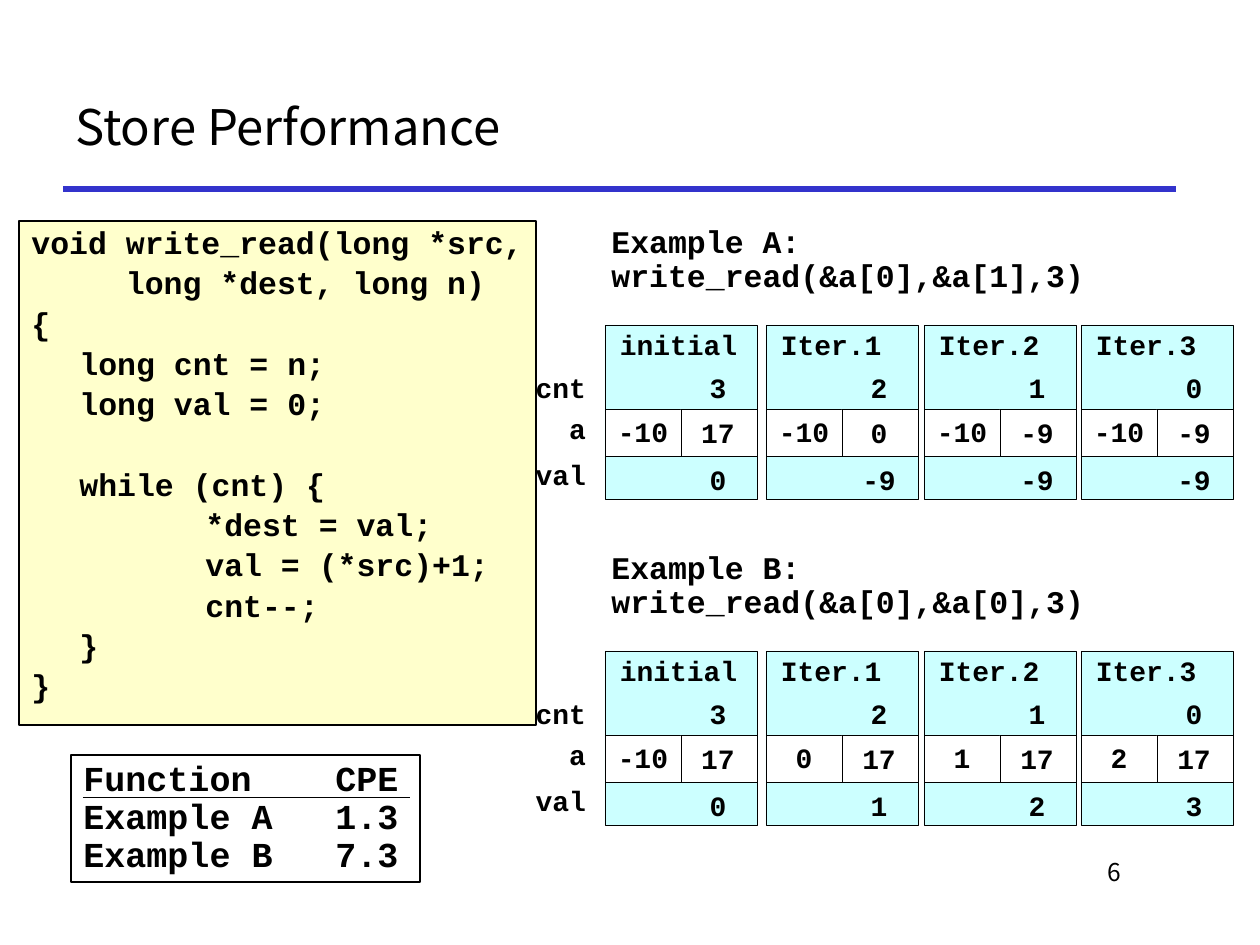
import pptx
import pptx.util
import pptx.dml.color
import pptx.enum.shapes
import pptx.enum.text
import pptx.oxml.ns
from lxml import etree

PX = 914400 / 126  # EMU per pixel
THEME = {
    "ink": "000000", "rule": "3333CC", "code": "FFFFCC", "state": "CCFFFF", "paper": "FFFFFF",
    "sans": "Noto Sans CJK KR", "mono": "Courier New",
    "title_size": 28, "table_size": 20, "code_size": 18, "cell_size": 16, "page_size": 14,
}
ALIGN = pptx.enum.text.PP_ALIGN
ANCHOR = pptx.enum.text.MSO_ANCHOR
RECTANGLE = pptx.enum.shapes.MSO_SHAPE.RECTANGLE
qn = pptx.oxml.ns.qn


def px(*lengths):
    return [pptx.util.Emu(round(length * PX)) for length in lengths]


def add_box(shapes, box, text="", size="cell_size", font="mono", fill=None, line=0.25,
            align=ALIGN.LEFT, anchor=ANCHOR.TOP, tight=False):
    """Add a filled rectangle, or a plain text box when there is no fill."""
    if fill:
        shape = shapes.add_shape(RECTANGLE, *px(*box))
        shape.shadow.inherit = False
        shape.fill.solid()
        shape.fill.fore_color.rgb = pptx.dml.color.RGBColor.from_string(THEME[fill])
        shape.line.color.rgb = pptx.dml.color.RGBColor.from_string(THEME["ink"])
        shape.line.width = pptx.util.Pt(line)
    else:
        shape = shapes.add_textbox(*px(*box))
    if not text:
        return shape
    frame = shape.text_frame
    frame.word_wrap = not tight
    frame.vertical_anchor = anchor
    if tight:
        frame.margin_left = frame.margin_right = 0
    frame.text = text
    for paragraph in frame.paragraphs:
        paragraph.alignment = align
        if font == "mono":
            paragraph.line_spacing = 0.9
        for run in paragraph.runs:
            run.font.name = THEME[font]
            run.font.size = pptx.util.Pt(THEME[size])
            run.font.bold = font == "mono"
            run.font.color.rgb = pptx.dml.color.RGBColor.from_string(THEME["ink"])
    return shape


deck = pptx.Presentation()
deck.slide_width, deck.slide_height = px(1260, 945)
slide = deck.slides.add_slide(deck.slide_layouts[6])

# Title, rule and page number
title_rule = slide.shapes.add_connector(
    pptx.enum.shapes.MSO_CONNECTOR.STRAIGHT, *px(63, 189, 1176, 189))
title_rule.line.color.rgb = pptx.dml.color.RGBColor.from_string(THEME["rule"])
title_rule.line.width = pptx.util.Pt(3)
add_box(slide.shapes, (955, 851, 179, 63), "6", "page_size", "sans", align=ALIGN.RIGHT)
add_box(slide.shapes, (63, 63, 1113, 126), "Store Performance", "title_size", "sans",
        anchor=ANCHOR.MIDDLE)

# Code listing
CODE = """void write_read(long *src,
     long *dest, long n)
{
\tlong cnt = n;
\tlong val = 0;

\twhile (cnt) {
\t\t*dest = val;
\t\tval = (*src)+1;
\t\tcnt--;
\t}
}"""
listing = add_box(slide.shapes, (19, 221, 517, 504), CODE, "code_size", fill="code", line=0.75)
hang, tab_size = px(48, 126)
for number, code_line in enumerate(listing.text_frame.paragraphs):
    properties = code_line._p.get_or_add_pPr()
    properties.set("marL", str(hang))
    properties.set("indent", str(-hang))
    properties.set("defTabSz", str(tab_size))
    if number:
        code_line.space_before = pptx.util.Pt(3.6)
    if not code_line.runs:
        end = etree.SubElement(code_line._p, qn("a:endParaRPr"),
                               sz=str(THEME["code_size"] * 100), b="1")
        etree.SubElement(end, qn("a:latin"), typeface=THEME["mono"])

# Examples: each state is (heading, cnt, a[0], a[1], val)
EXAMPLES = [
    (325, "Example A: write_read(&a[0],&a[1],3)",
     [("initial", "3", "-10", "17", "0"), ("Iter.1", "2", "-10", "0", "-9"),
      ("Iter.2", "1", "-10", "-9", "-9"), ("Iter.3", "0", "-10", "-9", "-9")]),
    (651, "Example B: write_read(&a[0],&a[0],3)",
     [("initial", "3", "-10", "17", "0"), ("Iter.1", "2", "0", "17", "1"),
      ("Iter.2", "1", "1", "17", "2"), ("Iter.3", "0", "2", "17", "3")]),
]
STATE_LEFTS = [605, 766, 924, 1081]
ROW_LABELS = [("val", 130), ("a", 84), ("cnt", 43)]
CHAR, TEXT_HEIGHT = 17, 44
CELL_WIDTH, CELL_HEIGHT, CELL_TOP = 76, 47, 84
LEFT_CENTER, RIGHT_CENTER = 38, 113

for top, call, states in EXAMPLES:
    add_box(slide.shapes, (599, top - 105, 525, 82), call, "code_size")
    for label, offset in ROW_LABELS:
        width = CHAR * len(label)
        add_box(slide.shapes, (586 - width, top + offset, width, TEXT_HEIGHT), label,
                align=ALIGN.RIGHT, tight=True)

    for left, (heading, cnt, first, second, val) in zip(STATE_LEFTS, states):
        state = slide.shapes.add_group_shape().shapes
        add_box(state, (left, top, 2 * CELL_WIDTH, 174), fill="state")
        for column in range(2):
            add_box(state, (left + column * CELL_WIDTH, top + CELL_TOP, CELL_WIDTH, CELL_HEIGHT),
                    fill="paper")
        add_box(state, (left + 15, top, CHAR * len(heading), TEXT_HEIGHT), heading, tight=True)
        for value, center, offset in [(first, LEFT_CENTER, 87), (second, RIGHT_CENTER, 88),
                                      (cnt, RIGHT_CENTER, 43), (val, RIGHT_CENTER, 135)]:
            width = CHAR * len(value)
            add_box(state, (left + center - width / 2, top + offset, width, TEXT_HEIGHT), value,
                    align=ALIGN.CENTER, tight=True)

# Cycles per element summary
summary = slide.shapes.add_group_shape().shapes
cpe = add_box(summary, (71, 755, 349, 127), "Function\tCPE\nExample A\t1.3\nExample B\t7.3",
              "table_size", fill="paper", line=0.75)
for row in cpe.text_frame.paragraphs:
    tabs = etree.SubElement(row._p.get_or_add_pPr(), qn("a:tabLst"))
    etree.SubElement(tabs, qn("a:tab"), pos=str(px(252)[0]), algn="l")
header_rule = summary.add_connector(
    pptx.enum.shapes.MSO_CONNECTOR.STRAIGHT, *px(83, 797, 410, 797))
header_rule.line.color.rgb = pptx.dml.color.RGBColor.from_string(THEME["ink"])
header_rule.line.width = pptx.util.Pt(0.25)

for rule in (title_rule, header_rule):
    etree.SubElement(rule._element.spPr, qn("a:effectLst"))

deck.save("out.pptx")
